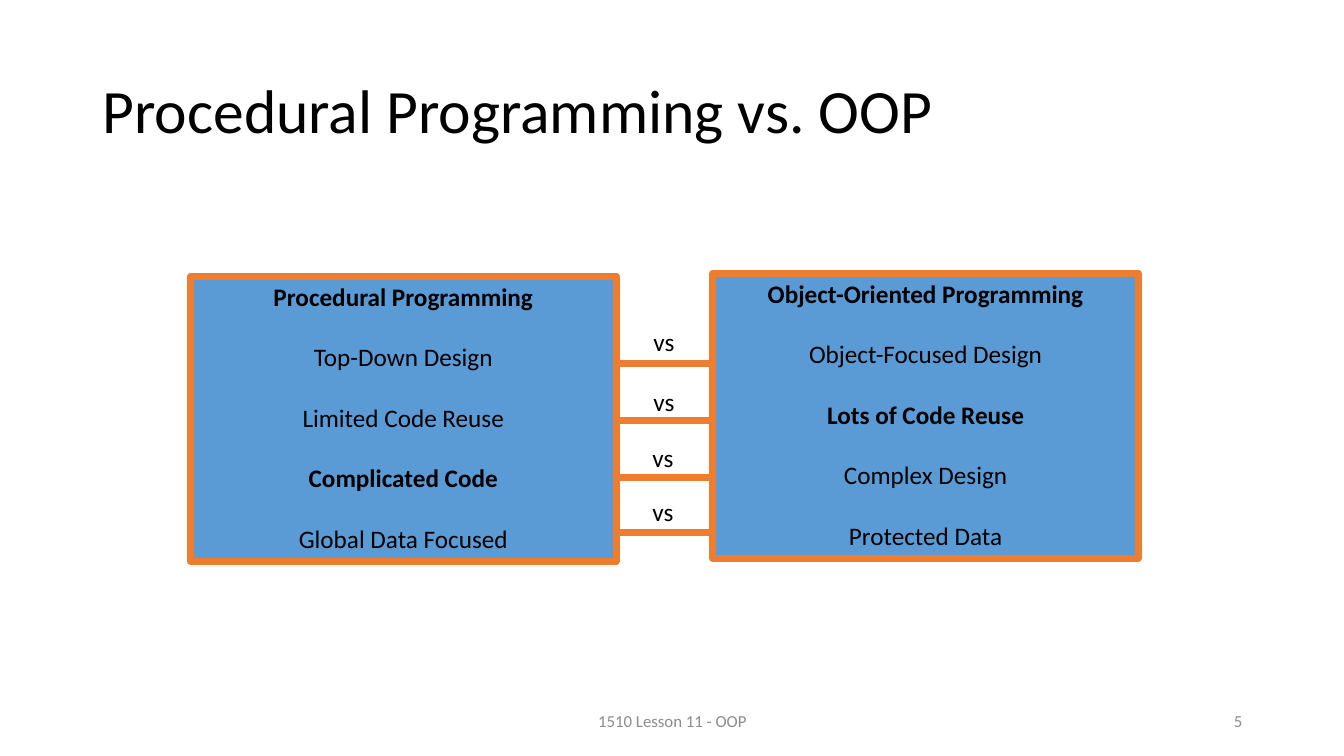
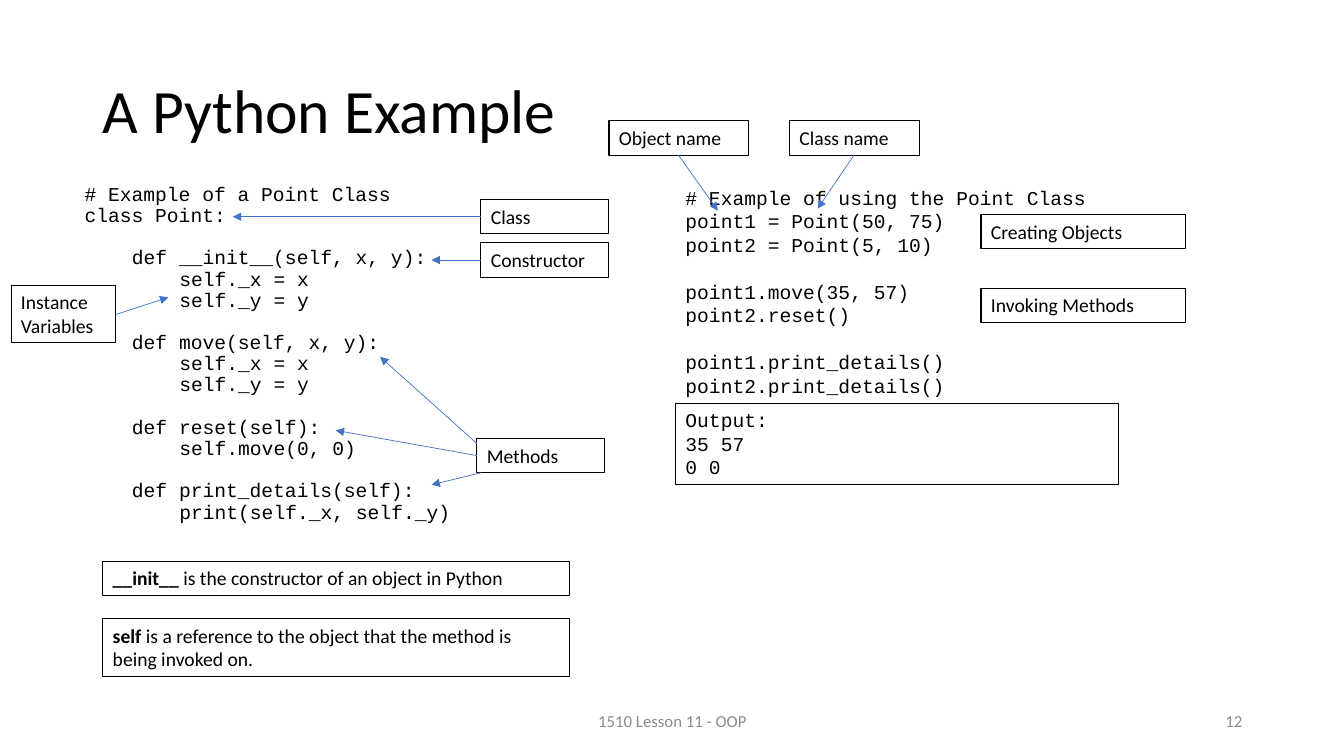
from dataclasses import dataclass

from lxml import etree
from pptx import Presentation
from pptx.dml.color import RGBColor
from pptx.enum.shapes import MSO_CONNECTOR, MSO_SHAPE
from pptx.enum.text import MSO_ANCHOR, MSO_AUTO_SIZE, PP_ALIGN
from pptx.oxml.ns import qn
from pptx.slide import Slide
from pptx.util import Inches, Pt

RECT, STRAIGHT = MSO_SHAPE.RECTANGLE, MSO_CONNECTOR.STRAIGHT
TOP, MIDDLE = MSO_ANCHOR.TOP, MSO_ANCHOR.MIDDLE
LEFT, CENTER, RIGHT = PP_ALIGN.LEFT, PP_ALIGN.CENTER, PP_ALIGN.RIGHT
FIXED, GROW = MSO_AUTO_SIZE.NONE, MSO_AUTO_SIZE.SHAPE_TO_FIT_TEXT

COLORS = {
    "ink": "000000",
    "paper": "FFFFFF",
    "muted": "8C8C8C",
    "panel": "5B9BD5",
    "accent": "ED7D31",
    "arrow": "4472C4",
}
SANS, MONO = "Calibri", "Courier New"
TAB = 4
INDENT = 0.47  # width of four code characters
FOOTER = "1510 Lesson 11 - OOP"


@dataclass(frozen=True)
class Style:
    """Look of a block of text."""

    size: float
    font: str = SANS
    color: str = "ink"
    align: PP_ALIGN = LEFT
    anchor: MSO_ANCHOR = TOP
    leading: float = 1.0
    fit: MSO_AUTO_SIZE = GROW


@dataclass(frozen=True)
class Frame:
    """Fill and outline of a box."""

    fill: str | None
    line: str
    width: float


@dataclass(frozen=True)
class Run:
    """Piece of text with one weight."""

    text: str
    bold: bool = False


@dataclass(frozen=True)
class Para:
    """Paragraph with its indent level and the gap above it."""

    runs: tuple[Run, ...]
    level: int = 0
    gap: float = 0


@dataclass(frozen=True)
class Box:
    """Place and content of a text block."""

    left: float
    top: float
    width: float
    height: float
    paras: tuple[Para, ...]


@dataclass(frozen=True)
class Link:
    """Straight line between two points."""

    x1: float
    y1: float
    x2: float
    y2: float


TITLE = Style(44, anchor=MIDDLE, leading=0.9, fit=FIXED)
FOOT = Style(12, color="muted", align=CENTER, anchor=MIDDLE, fit=FIXED)
PAGE = Style(12, color="muted", align=RIGHT, anchor=MIDDLE, fit=FIXED)
LIST = Style(18, align=CENTER)
LABEL = Style(14)
CODE = Style(14, MONO)
TIGHT = Style(14, MONO, leading=0.9, fit=FIXED)

PANEL = Frame("panel", "accent", 5)
CARD = Frame("paper", "ink", 0.75)
OUTLINE = Frame(None, "ink", 0.75)


def paint(name: str) -> RGBColor:
    """Look up a colour by name."""
    return RGBColor.from_string(COLORS[name])


def plain(text: str) -> tuple[Para, ...]:
    """Make one paragraph of regular text."""
    return (Para((Run(text),)),)


def term(word: str, rest: str) -> tuple[Para, ...]:
    """Make a paragraph that opens with a bold word."""
    return (Para((Run(word, True), Run(rest))),)


def items(runs: list[Run]) -> tuple[Para, ...]:
    """Make a list with one line of space between its items."""
    return tuple(Para((run,), gap=21.6 if n else 0) for n, run in enumerate(runs))


def code(text: str, gap: float) -> tuple[Para, ...]:
    """Turn leading blanks into levels and empty lines into gaps."""
    paras, space = [], 0.0
    for line in text.strip().splitlines():
        bare = line.strip()
        if bare:
            level = (len(line) - len(bare)) // TAB
            paras.append(Para((Run(bare),), level, space))
            space = 0.0
        else:
            space = gap
    return tuple(paras)


def draw_box(slide: Slide, box: Box, style: Style, frame: Frame | None = None) -> None:
    """Draw a text block, framed or bare."""
    place = [Inches(v) for v in (box.left, box.top, box.width, box.height)]
    if frame:
        shape = slide.shapes.add_shape(RECT, *place)
        shape.shadow.inherit = False
        if frame.fill:
            shape.fill.solid()
            shape.fill.fore_color.rgb = paint(frame.fill)
        else:
            shape.fill.background()
        shape.line.color.rgb = paint(frame.line)
        shape.line.width = Pt(frame.width)
    else:
        shape = slide.shapes.add_textbox(*place)
    body = shape.text_frame
    body.word_wrap = True
    body.auto_size = style.fit
    body.vertical_anchor = style.anchor
    for n, para in enumerate(box.paras):
        part = body.add_paragraph() if n else body.paragraphs[0]
        part.alignment = style.align
        part.line_spacing = style.leading
        part.space_before = Pt(para.gap)
        if para.level:
            props = part._p.get_or_add_pPr()
            props.set("marL", str(Inches(INDENT * para.level)))
            props.set("indent", "0")
        for run in para.runs:
            piece = part.add_run()
            piece.text = run.text
            font = piece.font
            font.name, font.size, font.bold = style.font, Pt(style.size), run.bold
            font.color.rgb = paint(style.color)


def draw_link(slide: Slide, link: Link, color: str, width: float, head: bool) -> None:
    """Draw a line, with an arrowhead at its end if asked."""
    ends = [Inches(v) for v in (link.x1, link.y1, link.x2, link.y2)]
    line = slide.shapes.add_connector(STRAIGHT, *ends)
    line.line.color.rgb = paint(color)
    line.line.width = Pt(width)
    props = line._element.spPr
    if head:
        etree.SubElement(props.find(qn("a:ln")), qn("a:tailEnd"), type="triangle")
    etree.SubElement(props, qn("a:effectLst"))


def add_slide(deck: Presentation, title: str, page: int) -> Slide:
    """Add a slide with its title, footer and page number."""
    slide = deck.slides.add_slide(deck.slide_layouts[6])
    draw_box(slide, Box(0.92, 0.4, 11.5, 1.45, plain(title)), TITLE)
    draw_box(slide, Box(4.42, 6.95, 4.5, 0.4, plain(FOOTER)), FOOT)
    draw_box(slide, Box(9.42, 6.95, 3, 0.4, plain(str(page))), PAGE)
    return slide


PANELS = [
    Box(1.89, 2.74, 4.22, 2.83, items([
        Run("Procedural Programming", True),
        Run("Top-Down Design"),
        Run("Limited Code Reuse"),
        Run("Complicated Code", True),
        Run("Global Data Focused"),
    ])),
    Box(7.07, 2.71, 4.22, 2.83, items([
        Run("Object-Oriented Programming", True),
        Run("Object-Focused Design"),
        Run("Lots of Code Reuse", True),
        Run("Complex Design"),
        Run("Protected Data"),
    ])),
]
BARS = [
    Link(6.13, 3.61, 7.05, 3.61),
    Link(6.11, 4.17, 7.04, 4.17),
    Link(6.14, 4.74, 7.07, 4.74),
    Link(6.14, 5.28, 7.07, 5.28),
]
VERSUS = [(6.25, 3.19), (6.25, 3.78), (6.24, 4.34), (6.24, 4.87)]

POINT = """
# Example of a Point Class
class Point:

    def __init__(self, x, y):
        self._x = x
        self._y = y

    def move(self, x, y):
        self._x = x
        self._y = y

    def reset(self):
        self.move(0, 0)

    def print_details(self):
        print(self._x, self._y)
"""
USAGE = """
# Example of using the Point Class
point1 = Point(50, 75)
point2 = Point(5, 10)

point1.move(35, 57)
point2.reset()

point1.print_details()
point2.print_details()
"""
OUTPUT = """
Output:
35 57
0 0
"""
CARDS = [
    Box(4.77, 1.98, 1.27, 0.34, plain("Class")),
    Box(4.77, 2.41, 1.27, 0.34, plain("Constructor")),
    Box(0.11, 2.83, 1.04, 0.57, plain("Instance Variables")),
    Box(4.73, 4.35, 1.27, 0.34, plain("Methods")),
    Box(1.02, 5.57, 4.63, 0.34,
        term("__init__", " is the constructor of an object in Python")),
    Box(1.02, 6.14, 4.63, 0.57,
        term("self", " is a reference to the object that the method is being invoked on.")),
    Box(9.73, 2.13, 2.03, 0.34, plain("Creating Objects")),
    Box(9.73, 2.86, 2.03, 0.34, plain("Invoking Methods")),
    Box(6.04, 1.2, 1.38, 0.34, plain("Object name")),
    Box(7.83, 1.2, 1.29, 0.34, plain("Class name")),
]
ARROWS = [
    Link(4.77, 2.15, 2.31, 2.15),
    Link(4.77, 2.58, 4.28, 2.58),
    Link(1.15, 3.12, 1.67, 2.95),
    Link(4.73, 4.4, 3.77, 3.54),
    Link(4.73, 4.52, 3.33, 4.27),
    Link(4.77, 4.69, 4.28, 4.81),
    Link(6.73, 1.54, 7.12, 2.09),
    Link(8.47, 1.54, 8.11, 2.07),
]


def add_duel(deck: Presentation) -> None:
    """Build the slide that sets two styles side by side."""
    slide = add_slide(deck, "Procedural Programming vs. OOP", 5)
    for panel in PANELS:
        draw_box(slide, panel, LIST, PANEL)
    for bar in BARS:
        draw_link(slide, bar, "accent", 5, False)
    for left, top in VERSUS:
        draw_box(slide, Box(left, top, 0.67, 0.4, plain("vs")), LIST)


def add_sample(deck: Presentation) -> None:
    """Build the slide with the labelled code."""
    slide = add_slide(deck, "A Python Example", 12)
    draw_box(slide, Box(0.74, 1.78, 4.11, 4.43, code(POINT, 15.1)), TIGHT)
    draw_box(slide, Box(6.7, 1.79, 4.39, 2.22, code(USAGE, 16.8)), CODE)
    draw_box(slide, Box(6.7, 4, 4.39, 0.81, code(OUTPUT, 0)), CODE, OUTLINE)
    for card in CARDS:
        draw_box(slide, card, LABEL, CARD)
    for arrow in ARROWS:
        draw_link(slide, arrow, "arrow", 0.5, True)


deck = Presentation()
deck.slide_width, deck.slide_height = Inches(13.33), Inches(7.5)
add_duel(deck)
add_sample(deck)
deck.save("out.pptx")
